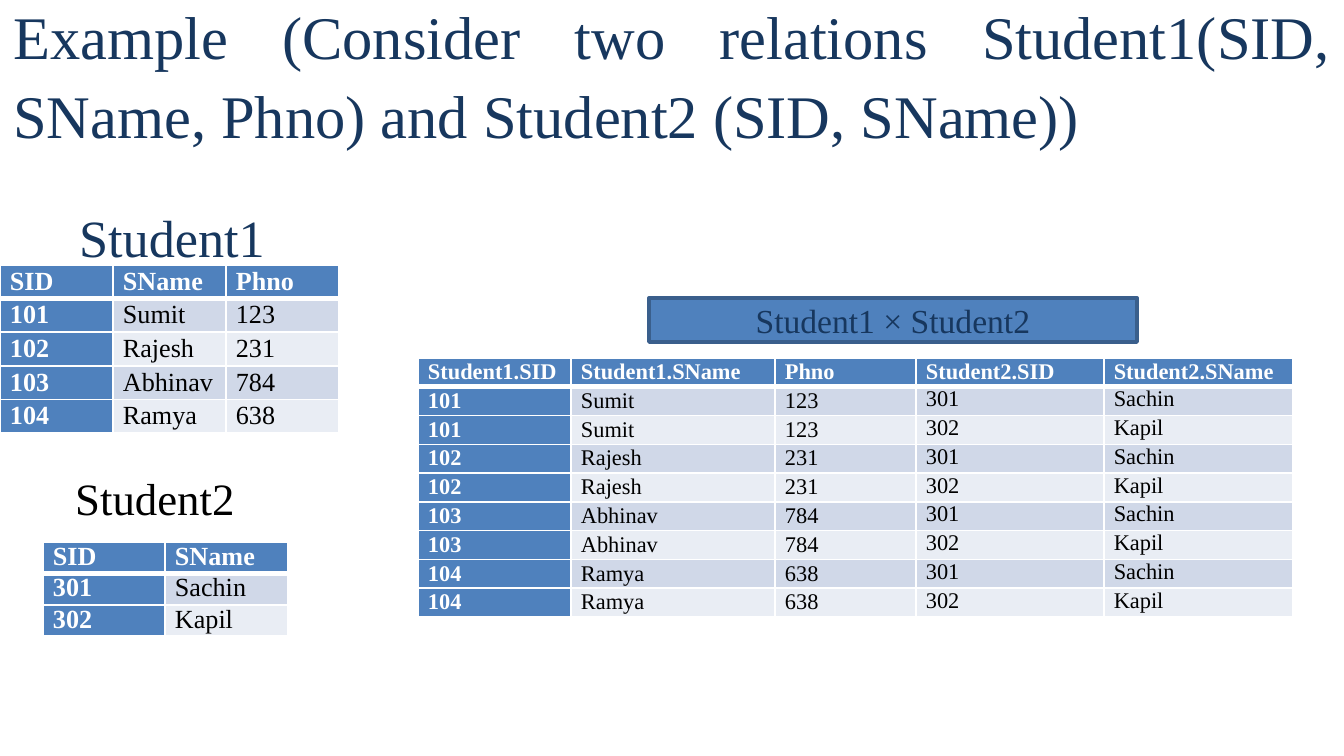
from itertools import product

from lxml import etree
from pptx import Presentation
from pptx.dml.color import RGBColor
from pptx.enum.shapes import MSO_SHAPE
from pptx.enum.text import MSO_ANCHOR, PP_ALIGN
from pptx.oxml.ns import qn
from pptx.util import Emu, Pt

RECTANGLE = MSO_SHAPE.RECTANGLE
MIDDLE, TOP = MSO_ANCHOR.MIDDLE, MSO_ANCHOR.TOP
LEFT, CENTER, JUSTIFY = PP_ALIGN.LEFT, PP_ALIGN.CENTER, PP_ALIGN.JUSTIFY

SCALE = 9144000 / 1344
FONT = "Times New Roman"
COLORS = {
    "navy": "17375E",
    "blue": "4F81BD",
    "outline": "3A5F8C",
    "odd_row": "D0D8E8",
    "even_row": "E9EDF4",
    "white": "FFFFFF",
    "black": "000000",
}

STUDENT1 = [
    ("101", "Sumit", "123"),
    ("102", "Rajesh", "231"),
    ("103", "Abhinav", "784"),
    ("104", "Ramya", "638"),
]
STUDENT2 = [("301", "Sachin"), ("302", "Kapil")]


def px(length):
    return Emu(round(length * SCALE))


def color(name):
    return RGBColor.from_string(COLORS[name])


def apply(target, values):
    for name, value in values.items():
        setattr(target, name, value)


def write(frame, words, size, ink, bold=False, **layout):
    paragraph = frame.paragraphs[0]
    apply(paragraph, layout)
    run = paragraph.add_run()
    run.text = words
    apply(run.font, {"name": FONT, "size": Pt(size), "bold": bold})
    run.font.color.rgb = color(ink)


def add_heading(slide, box, words, size, ink, anchor=TOP, **layout):
    frame = slide.shapes.add_textbox(*map(px, box)).text_frame
    apply(frame, {"word_wrap": True, "vertical_anchor": anchor})
    write(frame, words, size, ink, **layout)


def add_product_banner(slide, box, words):
    banner = slide.shapes.add_shape(RECTANGLE, *map(px, box))
    banner.shadow.inherit = False
    banner.fill.solid()
    banner.fill.fore_color.rgb = color("blue")
    banner.line.color.rgb = color("outline")
    banner.line.width = Pt(2)
    banner.text_frame.vertical_anchor = MIDDLE
    write(banner.text_frame, words, 18, "navy", alignment=CENTER)


def add_borders(cell, widths):
    properties = cell._tc.get_or_add_tcPr()
    for side, width in widths.items():
        border = etree.SubElement(properties, qn(f"a:ln{side}"), w=str(Pt(width)))
        fill = etree.SubElement(border, qn("a:solidFill"))
        etree.SubElement(fill, qn("a:srgbClr"), val=COLORS["white"])


def add_relation(slide, box, widths, records, size, spaced_columns):
    left, top, width, height = box
    relation = slide.shapes.add_table(
        len(records), len(widths), *map(px, box)
    ).table
    for column, column_width in zip(relation.columns, widths):
        column.width = px(column_width)
    for row in relation.rows:
        row.height = px(height / len(records))
    margins = {
        "margin_left": px(10),
        "margin_right": px(10),
        "margin_top": 0,
        "margin_bottom": 0,
    }
    for r, record in enumerate(records):
        band = "odd_row" if r % 2 else "even_row"
        for c, value in enumerate(record):
            cell = relation.cell(r, c)
            is_label = r == 0 or c == 0
            add_borders(
                cell,
                {"L": 1, "R": 1, "T": 3 if r == 1 else 1, "B": 3 if r == 0 else 1},
            )
            cell.fill.solid()
            cell.fill.fore_color.rgb = color("blue" if is_label else band)
            apply(cell, margins)
            layout = {"alignment": JUSTIFY}
            if c < spaced_columns or (r == 0 and spaced_columns):
                layout.update(line_spacing=1.07, space_after=Pt(8))
            ink = "white" if is_label else "black"
            write(cell.text_frame, value, size, ink, is_label, **layout)


def main():
    presentation = Presentation()
    presentation.slide_width = px(1344)
    presentation.slide_height = px(756)
    slide = presentation.slides.add_slide(presentation.slide_layouts[6])

    add_heading(
        slide,
        (0, 0, 1344, 144),
        "Example (Consider two relations Student1(SID, SName, Phno) "
        "and Student2 (SID, SName))",
        32.4,
        "navy",
        MIDDLE,
        alignment=JUSTIFY,
        line_spacing=1.08,
    )
    add_heading(slide, (66, 199, 1212, 516), "Student1", 28, "navy", alignment=LEFT)

    pairs = [first + second for first, second in product(STUDENT1, STUDENT2)]
    product_header = (
        "Student1.SID", "Student1.SName", "Phno", "Student2.SID", "Student2.SName"
    )
    add_relation(
        slide, (418, 358, 875, 240), (153, 204, 141, 188, 189),
        [product_header] + pairs, 12, 3,
    )
    add_relation(
        slide, (0, 265, 339, 154), (113, 113, 113),
        [("SID", "SName", "Phno")] + STUDENT1, 14, 3,
    )
    add_relation(
        slide, (43, 542, 245, 88), (122, 123),
        [("SID", "SName")] + STUDENT2, 14, 0,
    )
    add_heading(slide, (62, 464, 290, 67), "Student2", 24, "black", alignment=LEFT)
    add_product_banner(slide, (649, 298, 488, 44), "Student1 × Student2")
    presentation.save("out.pptx")


if __name__ == "__main__":
    main()
